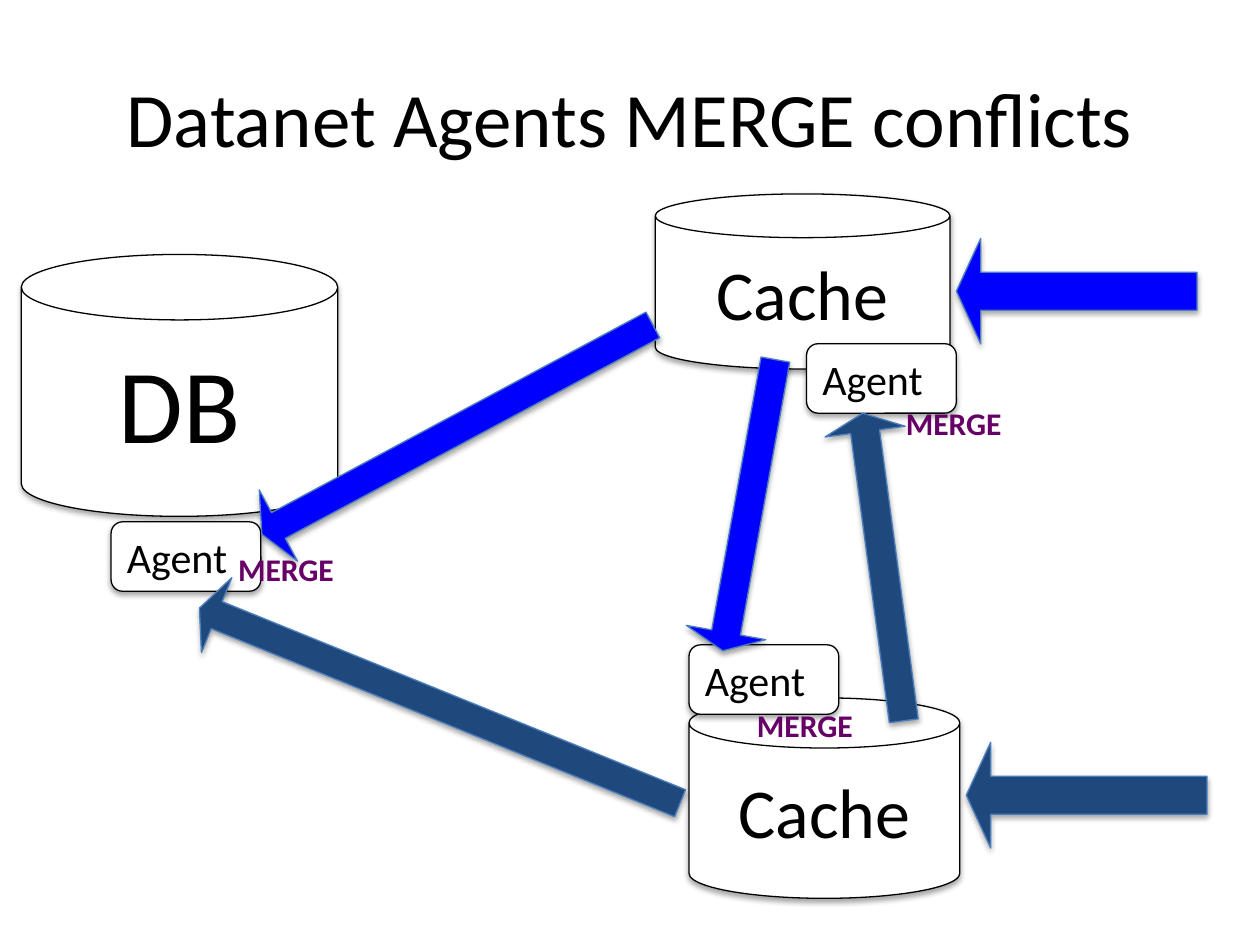
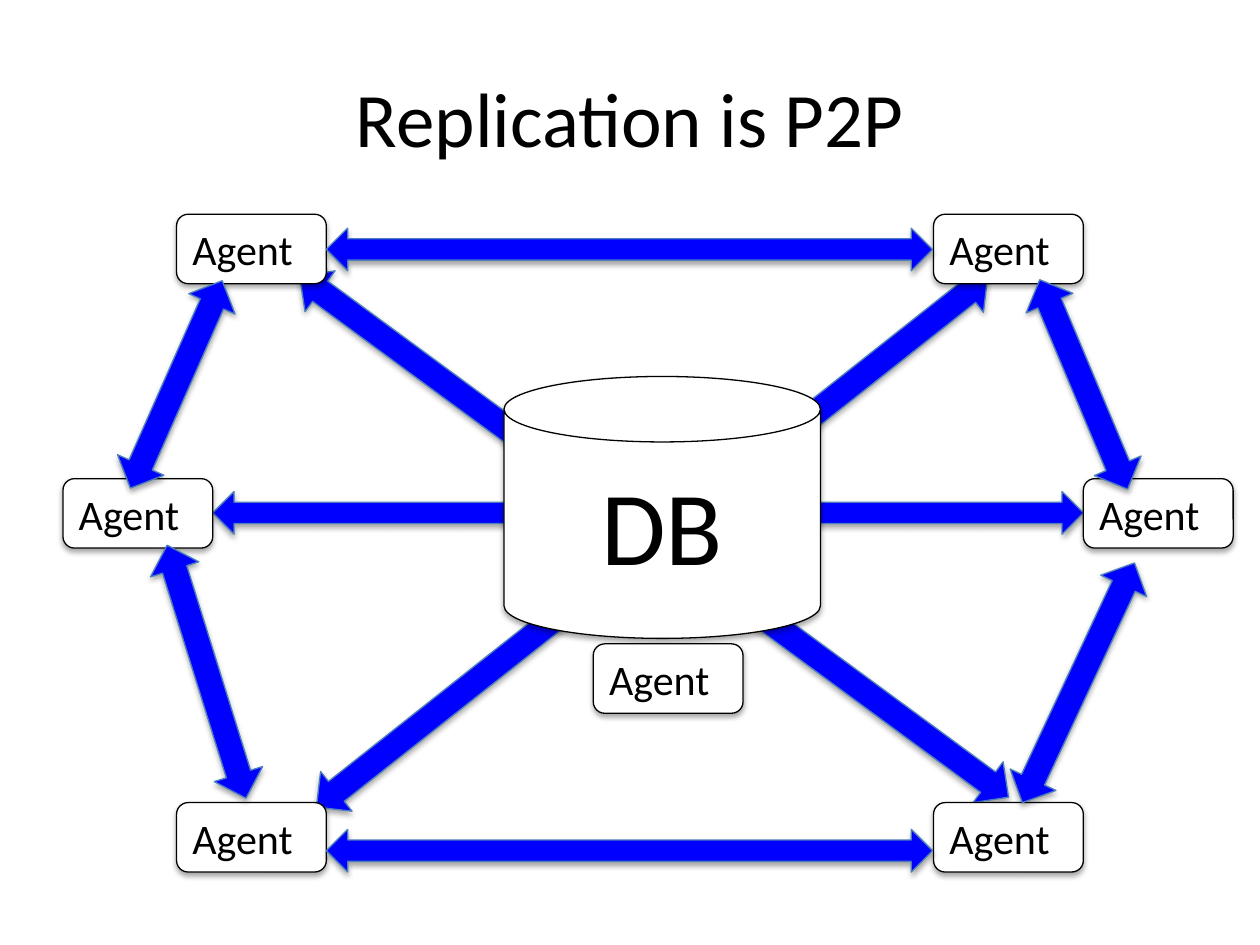
from dataclasses import dataclass
from itertools import product
from math import atan2, degrees, hypot

from lxml.etree import SubElement
from pptx import Presentation
from pptx.dml.color import RGBColor
from pptx.enum.shapes import MSO_SHAPE
from pptx.enum.text import MSO_ANCHOR, MSO_AUTO_SIZE, PP_ALIGN
from pptx.oxml.ns import qn
from pptx.util import Cm, Pt


@dataclass(frozen=True)
class Theme:
    font: str = "Calibri"
    ink: RGBColor = RGBColor(0, 0, 0)
    paper: RGBColor = RGBColor(0xFF, 0xFF, 0xFF)
    blue: RGBColor = RGBColor(0, 0, 0xFF)
    navy: RGBColor = RGBColor(0x1F, 0x49, 0x7D)
    arrow_edge: RGBColor = RGBColor(0x4B, 0x7E, 0xBC)
    merge: RGBColor = RGBColor(0x66, 0, 0x66)
    title_size: int = 44
    database_size: int = 60
    cache_size: int = 40
    agent_size: int = 24
    merge_size: int = 18
    edge_width: float = 0.75


class Diagram:
    """Draws on the current page; all lengths are in centimetres."""

    def __init__(self, deck, theme):
        self.deck = deck
        self.theme = theme
        self.page = None

    def new_page(self, title):
        self.page = self.deck.slides.add_slide(self.deck.slide_layouts[5])
        box = self.page.shapes.title
        box.left, box.top, box.width, box.height = Cm(1.27), Cm(0.76), Cm(22.86), Cm(3.18)
        box.text_frame.vertical_anchor = MSO_ANCHOR.MIDDLE
        self.set_text(box, title, self.theme.title_size, PP_ALIGN.CENTER)

    def set_text(self, box, text, size, align=PP_ALIGN.LEFT, color=None, bold=False):
        para = box.text_frame.paragraphs[0]
        para.text = text
        para.alignment = align
        font = para.font
        font.name, font.size, font.bold = self.theme.font, Pt(size), bold
        font.color.rgb = color or self.theme.ink

    def shape(self, kind, left, top, width, height, fill, edge):
        shape = self.page.shapes.add_shape(kind, Cm(left), Cm(top), Cm(width), Cm(height))
        shape.fill.solid()
        shape.fill.fore_color.rgb = fill
        shape.line.color.rgb = edge
        shape.line.width = Pt(self.theme.edge_width)
        self.add_shadow(shape)
        return shape

    def add_shadow(self, shape):
        shape.shadow.inherit = False
        effects = shape._element.spPr.find(qn("a:effectLst"))
        shadow = SubElement(effects, qn("a:outerShdw"), blurRad="40000", dist="23000",
                            dir="5400000", rotWithShape="0")
        color = SubElement(shadow, qn("a:srgbClr"), val=str(self.theme.ink))
        SubElement(color, qn("a:alpha"), val="35000")

    def can(self, text, left, top, width, height, size):
        can = self.shape(MSO_SHAPE.CAN, left, top, width, height,
                         self.theme.paper, self.theme.ink)
        self.set_text(can, text, size, PP_ALIGN.CENTER)

    def database(self, left, top):
        self.can("DB", left, top, 6.38, 5.28, self.theme.database_size)

    def cache(self, left, top, width, height):
        self.can("Cache", left, top, width, height, self.theme.cache_size)

    def agent(self, left, top):
        agent = self.shape(MSO_SHAPE.ROUNDED_RECTANGLE, left, top, 3.02, 1.4,
                           self.theme.paper, self.theme.ink)
        self.set_text(agent, "Agent", self.theme.agent_size)

    def merge_label(self, left, top):
        box = self.page.shapes.add_textbox(Cm(left), Cm(top), Cm(2.92), Cm(1.02))
        box.text_frame.word_wrap = True
        box.text_frame.auto_size = MSO_AUTO_SIZE.SHAPE_TO_FIT_TEXT
        self.set_text(box, "MERGE", self.theme.merge_size, color=self.theme.merge, bold=True)

    def block_arrow(self, kind, start, end, thickness, fill):
        """Lay a block arrow along the line from start to end."""
        (x1, y1), (x2, y2) = start, end
        length = hypot(x2 - x1, y2 - y1)
        arrow = self.shape(kind, (x1 + x2 - length) / 2, (y1 + y2 - thickness) / 2,
                           length, thickness, fill, self.theme.arrow_edge)
        arrow.rotation = degrees(atan2(y2 - y1, x2 - x1)) % 360
        return arrow

    def update_arrow(self, start, end, fill, thickness=1.63):
        arrow = self.block_arrow(MSO_SHAPE.RIGHT_ARROW, start, end, thickness, fill)
        arrow.adjustments[0], arrow.adjustments[1] = 0.36, 0.23

    def peer_arrow(self, start, end, thickness=1.02):
        self.block_arrow(MSO_SHAPE.LEFT_RIGHT_ARROW, start, end, thickness, self.theme.blue)


def draw_merge_conflicts(diagram):
    blue, navy = diagram.theme.blue, diagram.theme.navy
    diagram.new_page("Datanet Agents MERGE conflicts")
    diagram.database(0.43, 5.13)
    diagram.cache(13.89, 14.07, 5.46, 4.04)
    diagram.update_arrow((24.33, 16.03), (19.48, 16.03), navy, 2.13)
    diagram.cache(13.21, 3.91, 5.94, 3.53)
    diagram.update_arrow((24.13, 5.87), (19.28, 5.87), blue, 2.13)
    for place in ((16.26, 6.93), (13.89, 13), (2.24, 10.52)):
        diagram.agent(*place)
    for start, end, fill in (
        ((15.63, 7.25), (14.57, 13.12), blue),
        ((13.16, 6.55), (5.28, 10.77), blue),
        ((13.71, 16.19), (4.02, 12.26), navy),
        ((18.22, 14.53), (17.39, 8.33), navy),
    ):
        diagram.update_arrow(start, end, fill)
    for place in ((4.55, 10.97), (18.01, 8.03), (15.01, 14.1)):
        diagram.merge_label(*place)


def draw_peer_replication(diagram):
    diagram.new_page("Replication is P2P")
    diagram.peer_arrow((4.29, 10.34), (21.84, 10.34), 0.86)
    diagram.peer_arrow((6.04, 5.57), (20.33, 16.07))
    diagram.peer_arrow((6.38, 16.27), (19.91, 5.58))
    diagram.database(10.16, 7.59)
    corners = product((3.56, 18.82), (4.32, 16.18))
    for place in (*corners, (1.27, 9.65), (21.84, 9.65), (11.96, 12.98)):
        diagram.agent(*place)
    for level in (5.03, 17.15):
        diagram.peer_arrow((6.58, level), (18.8, level), 0.86)
    for start, end in (
        ((2.63, 9.84), (4.48, 5.66)),
        ((22.73, 9.86), (20.96, 5.64)),
        ((4.96, 16.09), (3.37, 10.99)),
        ((20.61, 16.18), (22.87, 11.35)),
    ):
        diagram.peer_arrow(start, end)


def main():
    deck = Presentation()
    deck.slide_width, deck.slide_height = Cm(25.4), Cm(19.05)
    diagram = Diagram(deck, Theme())
    draw_merge_conflicts(diagram)
    draw_peer_replication(diagram)
    deck.save("out.pptx")


if __name__ == "__main__":
    main()
